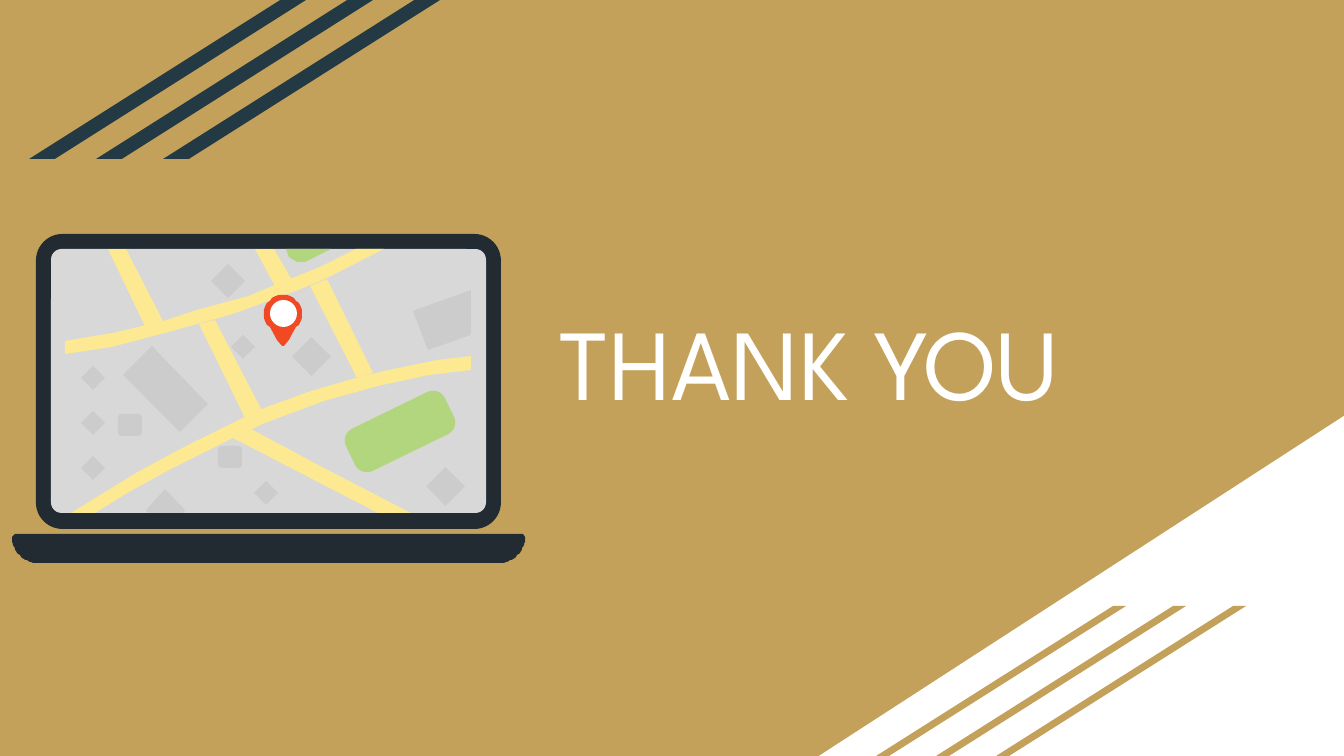
import math
from dataclasses import dataclass
from typing import NamedTuple

from pptx import Presentation, util as u
from pptx.dml import color
from pptx.enum import shapes, text

PX = 914400 / 134.4
KIND = shapes.MSO_SHAPE


@dataclass(frozen=True)
class Theme:
    gold: str = "C4A15A"
    white: str = "FFFFFF"
    navy: str = "233A44"
    casing: str = "222B32"
    land: str = "D8D8D8"
    road: str = "FDE992"
    building: str = "CCCCCC"
    park: str = "B1D67E"
    pin: str = "F04923"
    font: str = "League Spartan"
    title_size: int = 54


class Box(NamedTuple):
    left: int
    top: int
    width: int
    height: int


class Stripes(NamedTuple):
    first: Box
    step: int
    fill: str


class Diamond(NamedTuple):
    center_x: int
    center_y: int
    size: int


Point = tuple[int, int]
THEME = Theme()

STRIPES = [
    Stripes(Box(876, 606, 250, 150), 60, THEME.gold),
    Stripes(Box(29, 0, 277, 159), 67, THEME.navy),
]

ROADS = [
    [(65, 341), (113, 333), (164, 321), (197, 310), (249, 296), (275, 285),
     (320, 267), (356, 249), (384, 249), (327, 278), (301, 289), (233, 314),
     (180, 329), (112, 347), (65, 354)],
    [(71, 513), (136, 473), (188, 445), (245, 417), (267, 407), (308, 392),
     (356, 378), (384, 371), (437, 360), (471, 356), (471, 370), (429, 375),
     (378, 386), (324, 401), (265, 423), (233, 438), (171, 469), (129, 492),
     (95, 513)],
    [(108, 249), (126, 249), (163, 321), (145, 326)],
    [(255, 249), (274, 249), (292, 280), (275, 286)],
    [(199, 324), (215, 320), (262, 411), (245, 418)],
    [(310, 286), (327, 279), (373, 373), (357, 378)],
    [(233, 438), (251, 429), (324, 468), (411, 513), (378, 513)],
]

BUILDINGS = [
    [(152, 346), (208, 404), (180, 432), (123, 375)],
    [(471, 290), (471, 335), (428, 350), (413, 311)],
    [(165, 489), (185, 510), (183, 513), (148, 513), (146, 510)],
]

DIAMONDS = [
    Diamond(228, 281, 34), Diamond(243, 347, 24), Diamond(311, 356, 39),
    *(Diamond(93, y, 24) for y in (378, 423, 468)),
    Diamond(266, 493, 24), Diamond(445, 486, 39),
]

TOP_PARK = [(286, 249), (331, 249), (321, 254), (305, 262), (297, 262), (289, 257)]


def px(length: int) -> int:
    return u.Emu(round(length * PX))


def paint(shape, fill: str):
    shape.shadow.inherit = False
    shape.fill.solid()
    shape.fill.fore_color.rgb = color.RGBColor.from_string(fill)
    shape.line.fill.background()
    return shape


def draw_preset(slide, kind, box: Box, fill: str, adjust=None, rotation=0):
    shape = slide.shapes.add_shape(kind, *map(px, box))
    if adjust is not None:
        shape.adjustments[0] = adjust
    shape.rotation = rotation
    return paint(shape, fill)


def draw_outline(slide, points: list[Point], fill: str):
    builder = slide.shapes.build_freeform(*points[0], scale=PX)
    builder.add_line_segments(points[1:], close=True)
    return paint(builder.convert_to_shape(), fill)


def arc(x: int, y: int, radius: int, start: int, end: int) -> list[Point]:
    steps = 24
    angles = (math.radians(start + (end - start) * i / steps) for i in range(steps + 1))
    return [(round(x + radius * math.cos(a)), round(y + radius * math.sin(a)))
            for a in angles]


def draw_stripes(slide, stripes: Stripes) -> None:
    for i in reversed(range(3)):
        box = stripes.first._replace(left=stripes.first.left + i * stripes.step)
        draw_preset(slide, KIND.PARALLELOGRAM, box, stripes.fill, 1.58)


def write(shape, words: str, *, font: str, size: int, fill: str, align, anchor) -> None:
    frame = shape.text_frame
    frame.word_wrap = True
    frame.auto_size = text.MSO_AUTO_SIZE.NONE
    frame.vertical_anchor = anchor
    frame.margin_left = frame.margin_right = u.Inches(0.1)
    frame.margin_top = frame.margin_bottom = u.Inches(0.1)
    frame.text = words
    paragraph = frame.paragraphs[0]
    paragraph.alignment = align
    run = paragraph.runs[0]
    run.font.name = font
    run.font.size = u.Pt(size)
    run.font.color.rgb = color.RGBColor.from_string(fill)


def draw_laptop(slide) -> None:
    draw_preset(slide, KIND.ROUNDED_RECTANGLE, Box(36, 234, 465, 295), THEME.casing, 0.09)
    draw_preset(slide, KIND.ROUNDED_RECTANGLE, Box(51, 249, 435, 264), THEME.land, 0.04)
    base = [(15, 534), (523, 534), *arc(499, 537, 26, 0, 90), *arc(38, 537, 26, 90, 180)]
    draw_outline(slide, base, THEME.casing)


def draw_map(slide) -> None:
    for road in ROADS:
        draw_outline(slide, road, THEME.road)
    draw_preset(slide, KIND.ROUNDED_RECTANGLE, Box(345, 408, 110, 47), THEME.park, 0.28, -26)
    draw_outline(slide, TOP_PARK, THEME.park)
    for building in BUILDINGS:
        draw_outline(slide, building, THEME.building)
    for x, y, size in DIAMONDS:
        box = Box(x - size // 2, y - size // 2, size, size)
        draw_preset(slide, KIND.DIAMOND, box, THEME.building)
    for left, top in ((118, 414), (218, 446)):
        draw_preset(slide, KIND.ROUNDED_RECTANGLE, Box(left, top, 24, 22), THEME.building)


def draw_pin(slide) -> None:
    teardrop = [*arc(283, 314, 19, 135, 405), (289, 340), (284, 346), (282, 346), (277, 340)]
    draw_outline(slide, teardrop, THEME.pin)
    draw_preset(slide, KIND.OVAL, Box(270, 300, 27, 27), THEME.white)


def main() -> None:
    deck = Presentation()
    deck.slide_width, deck.slide_height = px(1344), px(756)
    slide = deck.slides.add_slide(deck.slide_layouts[5])
    slide.background.fill.solid()
    slide.background.fill.fore_color.rgb = color.RGBColor.from_string(THEME.gold)

    corner = draw_preset(slide, KIND.RIGHT_TRIANGLE, Box(819, 416, 525, 340), THEME.white)
    corner.element.spPr.xfrm.set("flipH", "1")
    for stripes in STRIPES:
        draw_stripes(slide, stripes)

    title = slide.shapes.title
    title.left, title.top, title.width, title.height = map(px, Box(546, 259, 937, 203))
    write(title, "THANK YOU", font=THEME.font, size=THEME.title_size, fill=THEME.white,
          align=text.PP_ALIGN.LEFT, anchor=text.MSO_ANCHOR.MIDDLE)

    draw_laptop(slide)
    draw_map(slide)
    draw_pin(slide)
    deck.save("out.pptx")


if __name__ == "__main__":
    main()
